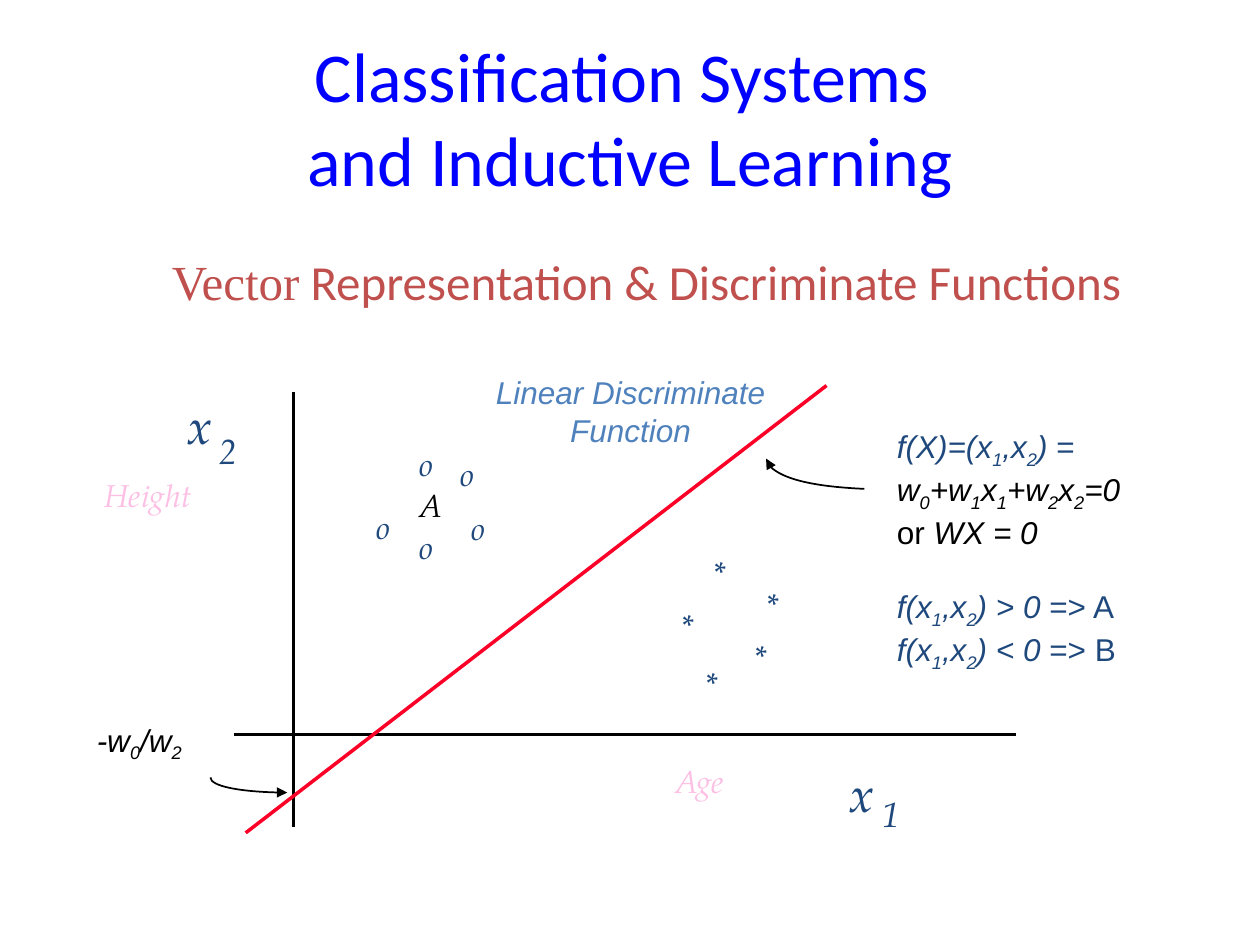
from lxml.etree import SubElement
from pptx import Presentation
from pptx.dml.color import RGBColor
from pptx.enum.shapes import MSO_CONNECTOR
from pptx.enum.text import MSO_ANCHOR, MSO_AUTO_SIZE, PP_ALIGN
from pptx.oxml.ns import qn
from pptx.util import Inches, Pt

BLUE = RGBColor(0x00, 0x00, 0xFF)
BRICK = RGBColor(0xC0, 0x50, 0x4D)
NAVY = RGBColor(0x1F, 0x49, 0x7D)
SKY = RGBColor(0x4F, 0x81, 0xBD)
PINK = RGBColor(0xFD, 0xC0, 0xE5)
RED = RGBColor(0xFC, 0x01, 0x28)
BLACK = RGBColor(0x00, 0x00, 0x00)
SERIF = "TeX Gyre Pagella"

TITLE = [[("Classification Systems ", {}), ("\n", {}), ("and Inductive Learning", {})]]
SUBTITLE = [[("Vector", {"font": "Times New Roman"}),
             (" Representation & Discriminate Functions", {})]]
LINE_NAME = [[("Linear Discriminate", {})], [("Function", {})]]
INTERCEPT = [[("-w_0/w_2", {})]]
UPRIGHT = {"italic": False}
DARK = {"color": BLACK}
EQUATIONS = [
    [("f(X)=(x_1,x_2)", {}), (" =", UPRIGHT)],
    [("w_0+w_1x_1+w_2x_2=0", DARK)],
    [("or", {**DARK, **UPRIGHT}), (" WX = 0", DARK)],
    [("f(x_1,x_2) > 0", {}), (" => A", UPRIGHT)],
    [("f(x_1,x_2) < 0", {}), (" => B", UPRIGHT)],
]
RULES_START = 3

AXIS_LABELS = [
    ("x", (1.39, 3.09, 0.39, 0.56), 28, NAVY),
    ("2", (1.64, 3.36, 0.34, 0.43), 20, NAVY),
    ("x", (6.64, 6.01, 0.39, 0.56), 28, NAVY),
    ("1", (6.91, 6.24, 0.33, 0.43), 20, NAVY),
    ("Height", (0.73, 3.73, 1.12, 0.5), 18, PINK),
    ("Age", (5.26, 6, 0.74, 0.5), 18, PINK),
]
SAMPLES = [
    ("o", 0.35, NAVY, [(3.23, 3.48), (3.56, 3.56), (2.89, 3.98), (3.64, 3.99), (3.23, 4.14)]),
    ("*", 0.33, NAVY, [(5.57, 4.34), (5.99, 4.59), (5.32, 4.76), (5.9, 5.01), (5.51, 5.22)]),
    ("A", 0.44, BLACK, [(3.23, 3.81)]),
]
LINES = [
    ((2.33, 3.11), (2.33, 6.56), BLACK),
    ((1.86, 5.83), (8.06, 5.83), BLACK),
    ((1.95, 6.61), (6.56, 3.06), RED),
]
POINTERS = [
    [(6.86, 3.88), (6.42, 3.86), (6.08, 3.76), (6.08, 3.64)],
    [(1.67, 6.17), (1.67, 6.24), (1.94, 6.29), (2.28, 6.29)],
]


def add_run(paragraph, text, font, size, color, italic, subscript=False):
    run = paragraph.add_run()
    run.text = text
    run.font.name = font
    run.font.size = Pt(size)
    run.font.color.rgb = color
    run.font.italic = italic
    if subscript:
        run._r.get_or_add_rPr().set("baseline", "-25000")


def add_text(slide, paragraphs, box, size=18, font="Arial", color=BLACK, italic=True,
             align=PP_ALIGN.LEFT, anchor=MSO_ANCHOR.TOP, wrap=False, line_spacing=None):
    shape = slide.shapes.add_textbox(*map(Inches, box))
    frame = shape.text_frame
    frame.word_wrap = wrap
    frame.auto_size = MSO_AUTO_SIZE.NONE if wrap else MSO_AUTO_SIZE.SHAPE_TO_FIT_TEXT
    frame.vertical_anchor = anchor
    for index, parts in enumerate(paragraphs):
        paragraph = frame.add_paragraph() if index else frame.paragraphs[0]
        paragraph.alignment = align
        if line_spacing:
            paragraph.line_spacing = line_spacing
        for text, changes in parts:
            if text == "\n":
                paragraph.add_line_break()
                continue
            style = {"font": font, "size": size, "color": color, "italic": italic, **changes}
            first, *rest = text.split("_")
            add_run(paragraph, first, **style)
            for piece in rest:
                add_run(paragraph, piece[0], subscript=True, **style)
                if piece[1:]:
                    add_run(paragraph, piece[1:], **style)
    return shape


def add_line(slide, start, end, color):
    line = slide.shapes.add_connector(MSO_CONNECTOR.STRAIGHT, *map(Inches, start + end))
    line.line.color.rgb = color
    line.line.width = Pt(2)
    SubElement(line._element.spPr, qn("a:effectLst"))


def add_pointer(slide, points):
    start, *others = [tuple(map(Inches, point)) for point in points]
    builder = slide.shapes.build_freeform(*start)
    builder.add_line_segments(others, close=False)
    shape = builder.convert_to_shape()
    shape.shadow.inherit = False
    shape.fill.background()
    shape.line.color.rgb = BLACK
    shape.line.width = Pt(1)
    SubElement(shape.line._get_or_add_ln(), qn("a:tailEnd"), type="triangle")
    outline = shape._element.find(".//" + qn("a:path"))
    curve = SubElement(outline, qn("a:cubicBezTo"))
    for segment in outline.findall(qn("a:lnTo")):
        curve.append(segment[0])
        outline.remove(segment)


def main():
    presentation = Presentation()
    presentation.slide_width = Inches(10)
    presentation.slide_height = Inches(7.5)
    slide = presentation.slides.add_slide(presentation.slide_layouts[6])

    add_text(slide, TITLE, (0.5, 0.3, 9, 1.25), size=40, font="Calibri", color=BLUE,
             italic=False, align=PP_ALIGN.CENTER, anchor=MSO_ANCHOR.MIDDLE, wrap=True)
    add_text(slide, SUBTITLE, (0.92, 2, 8.42, 0.75), size=28, font="Calibri", color=BRICK,
             italic=False, align=PP_ALIGN.CENTER, wrap=True, line_spacing=0.9)
    for start, end, color in LINES:
        add_line(slide, start, end, color)
    for text, box, size, color in AXIS_LABELS:
        add_text(slide, [[(text, {})]], box, size=size, font=SERIF, color=color)
    for symbol, width, color, places in SAMPLES:
        for left, top in places:
            add_text(slide, [[(symbol, {})]], (left, top, width, 0.5), font=SERIF, color=color)
    add_text(slide, LINE_NAME, (3.55, 2.91, 2.91, 0.9), color=SKY, align=PP_ALIGN.CENTER)
    equations = add_text(slide, EQUATIONS, (7.02, 3.34, 2.56, 2.5), color=NAVY)
    equations.text_frame.paragraphs[RULES_START].space_before = Pt(21)
    add_text(slide, INTERCEPT, (0.67, 5.67, 1.07, 0.9))
    for points in POINTERS:
        add_pointer(slide, points)

    presentation.save("out.pptx")


if __name__ == "__main__":
    main()
